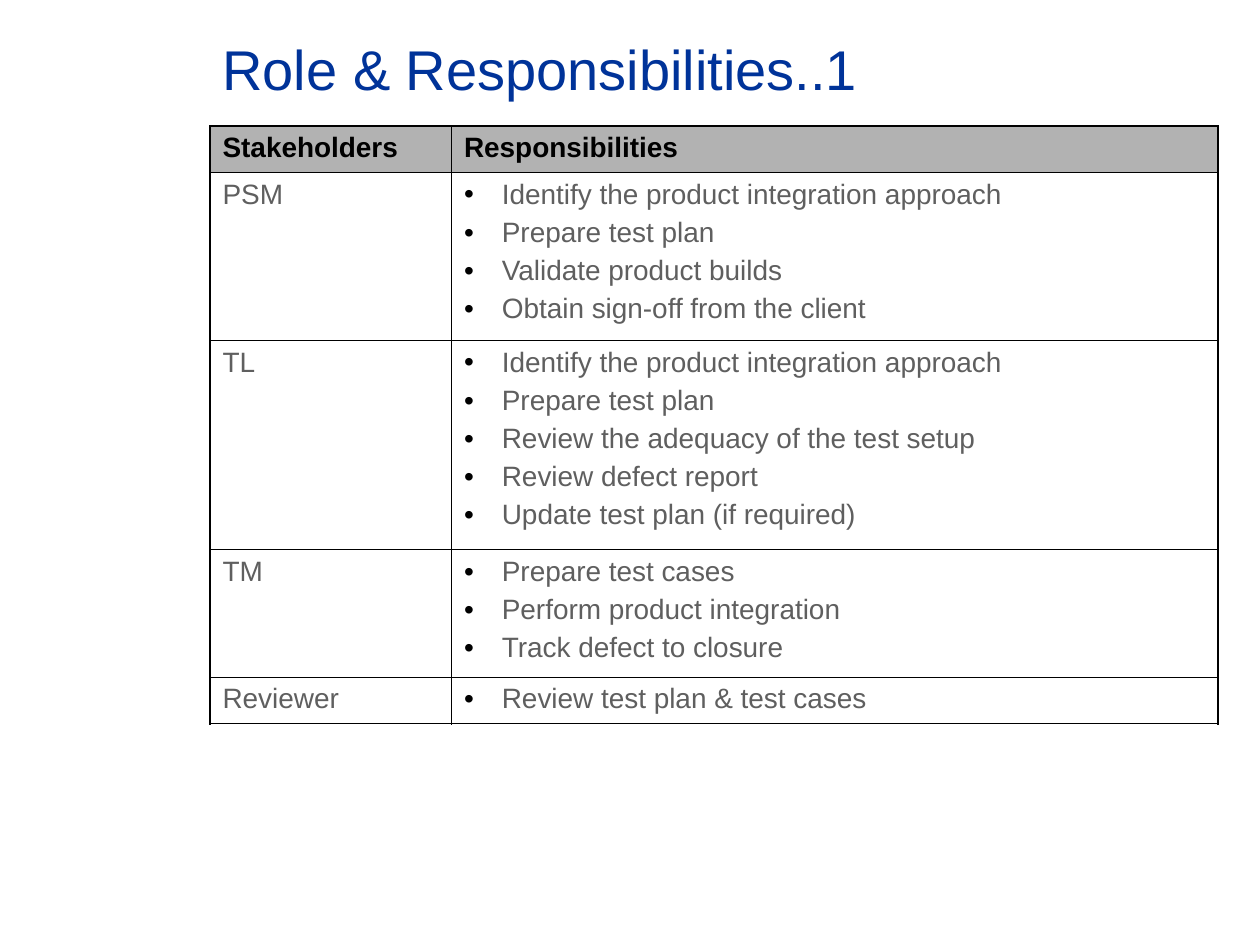
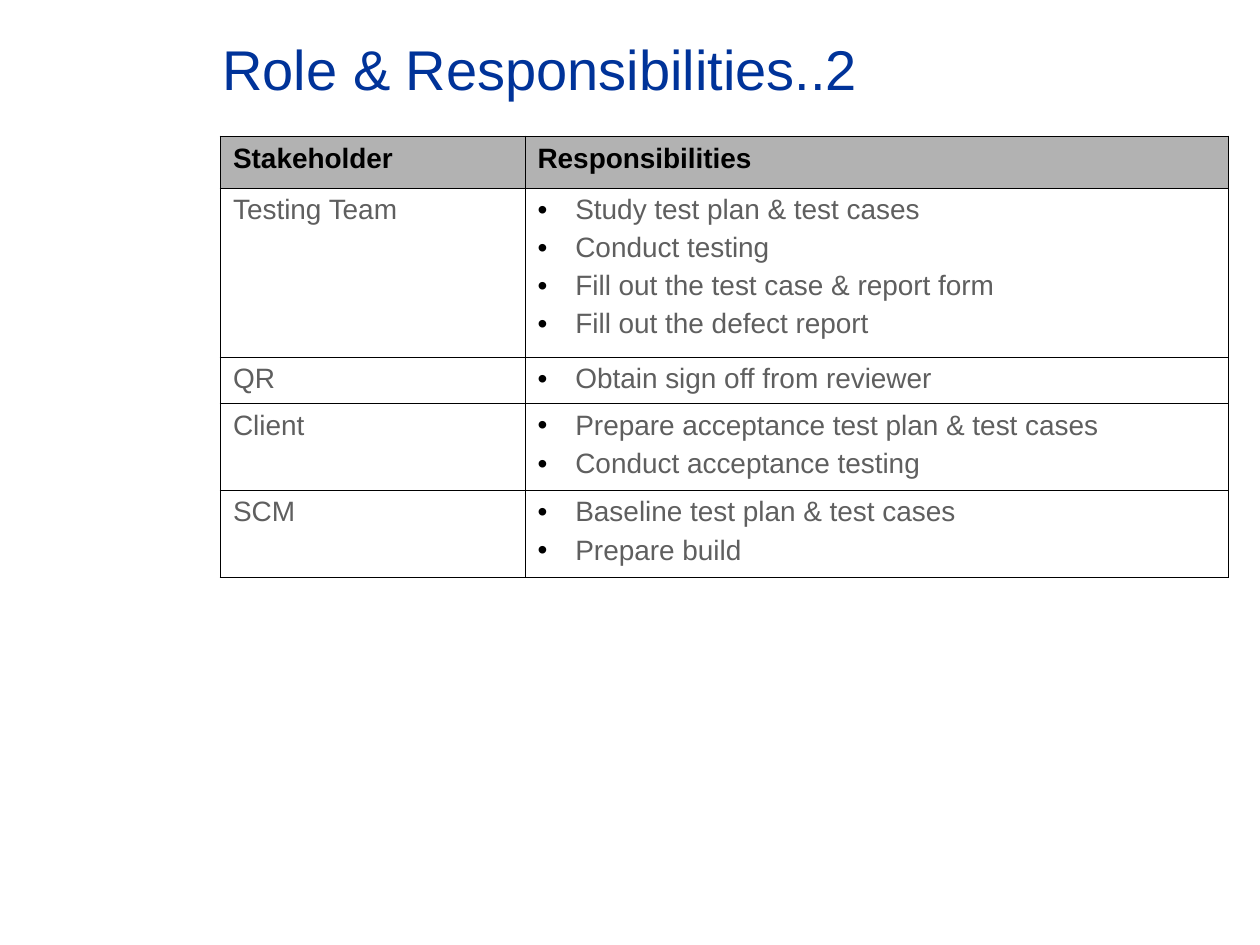
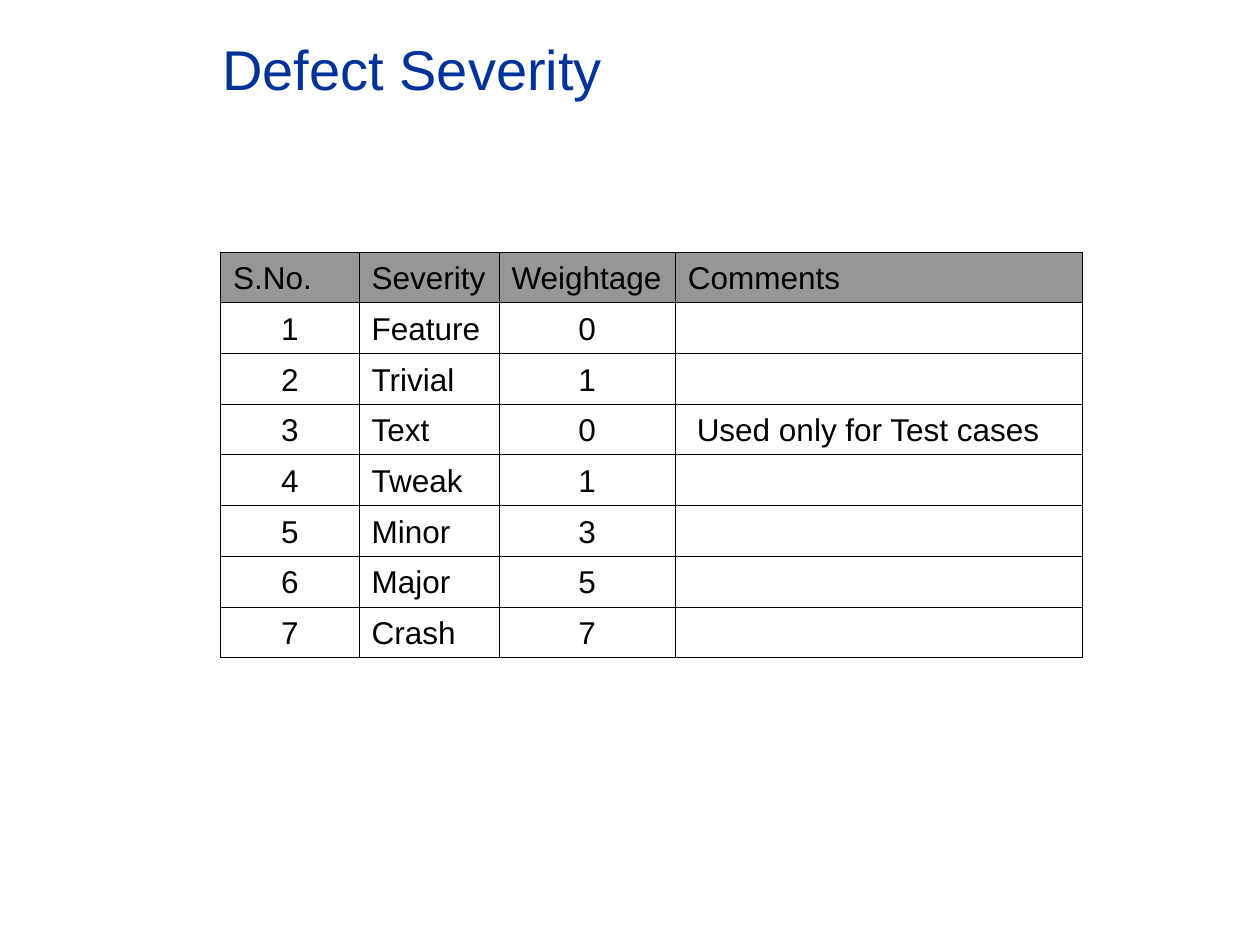
from lxml import etree
from pptx import Presentation
from pptx.dml.color import RGBColor
from pptx.enum import text
from pptx.oxml import ns
from pptx.util import Inches, Pt

FONT = "Arial"
BLUE = RGBColor(0x00, 0x33, 0x99)
BLACK = RGBColor(0x00, 0x00, 0x00)
GRAY = RGBColor(0x5F, 0x5F, 0x5F)
ROLE_HEADER = RGBColor(0xB2, 0xB2, 0xB2)
SEVERITY_HEADER = RGBColor(0x96, 0x96, 0x96)

GRID = 1 / 12  # inches between the lines that titles and role tables sit on
TITLE_BOX = (20, 2, 98, 9)  # left, top, width, height in grid units
THIN, THICK = 0.45, 1.08
BULLET_INDENT = 0.3
COMMENT_INDENT = 0.07

# left, top and columns are in grid units, heights in inches
ROLE_SLIDES = [
    {
        "title": "Role & Responsibilities..1",
        "header": ("Stakeholders", "Responsibilities"),
        "left": 20, "top": 12,
        "columns": [23, 73],
        "heights": [0.37, 1.33, 1.66, 1.01, 0.37],
        "roles": [
            ("PSM", ["Identify the product integration approach", "Prepare test plan",
                     "Validate product builds", "Obtain sign-off from the client"]),
            ("TL", ["Identify the product integration approach", "Prepare test plan",
                    "Review the adequacy of the test setup", "Review defect report",
                    "Update test plan (if required)"]),
            ("TM", ["Prepare test cases", "Perform product integration",
                    "Track defect to closure"]),
            ("Reviewer", ["Review test plan & test cases"]),
        ],
    },
    {
        "title": "Role & Responsibilities..2",
        "header": ("Stakeholder", "Responsibilities"),
        "left": 21, "top": 13,
        "columns": [29, 67],
        "heights": [0.41, 1.34, 0.37, 0.69, 0.69],
        "roles": [
            ("Testing Team", ["Study test plan & test cases", "Conduct testing",
                              "Fill out the test case & report form",
                              "Fill out the defect report"]),
            ("QR", ["Obtain sign off from reviewer"]),
            ("Client", ["Prepare acceptance test plan & test cases",
                        "Conduct acceptance testing"]),
            ("SCM", ["Baseline test plan & test cases", "Prepare build"]),
        ],
    },
]

SEVERITY_TITLE = "Defect Severity"
SEVERITY_COLUMNS = [1.1, 1.11, 1.4, 3.23]
SEVERITY_HEIGHT = 3.22
SEVERITY_ROWS = [
    ("S.No.", "Severity", "Weightage", "Comments"),
    ("1", "Feature", "0", ""),
    ("2", "Trivial", "1", ""),
    ("3", "Text", "0", "Used only for Test cases"),
    ("4", "Tweak", "1", ""),
    ("5", "Minor", "3", ""),
    ("6", "Major", "5", ""),
    ("7", "Crash", "7", ""),
]
CENTERED_COLUMNS = (0, 2)


def set_font(paragraph, size, color, bold=False):
    formats = {"name": FONT, "size": Pt(size), "bold": bold}
    for item in [paragraph.font] + [run.font for run in paragraph.runs]:
        for name, value in formats.items():
            setattr(item, name, value)
        item.color.rgb = color


def add_titled_slide(presentation, title):
    slide = presentation.slides.add_slide(presentation.slide_layouts[6])
    box = slide.shapes.add_textbox(*(Inches(units * GRID) for units in TITLE_BOX))
    frame = box.text_frame
    frame.word_wrap = True
    frame.vertical_anchor = text.MSO_ANCHOR.MIDDLE
    frame.text = title
    set_font(frame.paragraphs[0], 32, BLUE)
    return slide


def set_borders(cell, widths):
    """Draw black cell edges; widths maps L, R, T and B to points."""
    properties = cell._tc.get_or_add_tcPr()
    for side, width in widths.items():
        line = etree.SubElement(properties, ns.qn(f"a:ln{side}"), w=str(Pt(width)))
        fill = etree.SubElement(line, ns.qn("a:solidFill"))
        etree.SubElement(fill, ns.qn("a:srgbClr"), val=str(BLACK))


def add_grid(slide, left, top, columns, heights, header_color, outer_width):
    table = slide.shapes.add_table(
        len(heights), len(columns), Inches(left), Inches(top),
        Inches(sum(columns)), Inches(sum(heights))).table
    for column, width in zip(table.columns, columns):
        column.width = Inches(width)
    last_row, last_column = len(heights) - 1, len(columns) - 1
    for r, height in enumerate(heights):
        table.rows[r].height = Inches(height)
        for c in range(len(columns)):
            cell = table.cell(r, c)
            outer = {"L": c == 0, "R": c == last_column, "T": r == 0, "B": r == last_row}
            set_borders(cell, {side: outer_width if edge else THIN
                               for side, edge in outer.items()})
            if r == 0:
                cell.fill.solid()
                cell.fill.fore_color.rgb = header_color
            else:
                cell.fill.background()
    return table


def indent(paragraph, left, first=0.0):
    properties = paragraph._p.get_or_add_pPr()
    properties.set("marL", str(Inches(left)))
    properties.set("indent", str(Inches(first)))
    return properties


def add_bullet(paragraph):
    properties = indent(paragraph, BULLET_INDENT, -BULLET_INDENT)
    color = etree.SubElement(properties, ns.qn("a:buClr"))
    etree.SubElement(color, ns.qn("a:srgbClr"), val=str(BLACK))
    etree.SubElement(properties, ns.qn("a:buFont"), typeface=FONT)
    etree.SubElement(properties, ns.qn("a:buChar"), char="•")


def fill_duties(cell, duties):
    frame = cell.text_frame
    for i, duty in enumerate(duties):
        paragraph = frame.add_paragraph() if i else frame.paragraphs[0]
        paragraph.text = duty
        add_bullet(paragraph)
        if i:
            paragraph.space_before = Pt(4)
        set_font(paragraph, 16, GRAY)


def add_role_slide(presentation, content):
    slide = add_titled_slide(presentation, content["title"])
    columns = [units * GRID for units in content["columns"]]
    table = add_grid(slide, content["left"] * GRID, content["top"] * GRID, columns,
                     content["heights"], ROLE_HEADER, THICK)
    for c, label in enumerate(content["header"]):
        cell = table.cell(0, c)
        cell.text = label
        set_font(cell.text_frame.paragraphs[0], 16, BLACK, bold=True)
    for r, (role, duties) in enumerate(content["roles"], start=1):
        cell = table.cell(r, 0)
        cell.text = role
        set_font(cell.text_frame.paragraphs[0], 16, GRAY)
        fill_duties(table.cell(r, 1), duties)


def add_severity_slide(presentation):
    slide = add_titled_slide(presentation, SEVERITY_TITLE)
    row_count = len(SEVERITY_ROWS)
    table = add_grid(slide, 1.75, 2, SEVERITY_COLUMNS,
                     [SEVERITY_HEIGHT / row_count] * row_count, SEVERITY_HEADER, THIN)
    for r, values in enumerate(SEVERITY_ROWS):
        for c, value in enumerate(values):
            cell = table.cell(r, c)
            cell.text = value
            cell.vertical_anchor = text.MSO_ANCHOR.BOTTOM
            paragraph = cell.text_frame.paragraphs[0]
            if r and c in CENTERED_COLUMNS:
                paragraph.alignment = text.PP_ALIGN.CENTER
            elif r and c == len(values) - 1:
                indent(paragraph, COMMENT_INDENT)
            set_font(paragraph, 18, BLACK)


def main():
    presentation = Presentation()
    presentation.slide_width = Inches(10)
    presentation.slide_height = Inches(7.5)
    for content in ROLE_SLIDES:
        add_role_slide(presentation, content)
    add_severity_slide(presentation)
    presentation.save("out.pptx")


if __name__ == "__main__":
    main()
